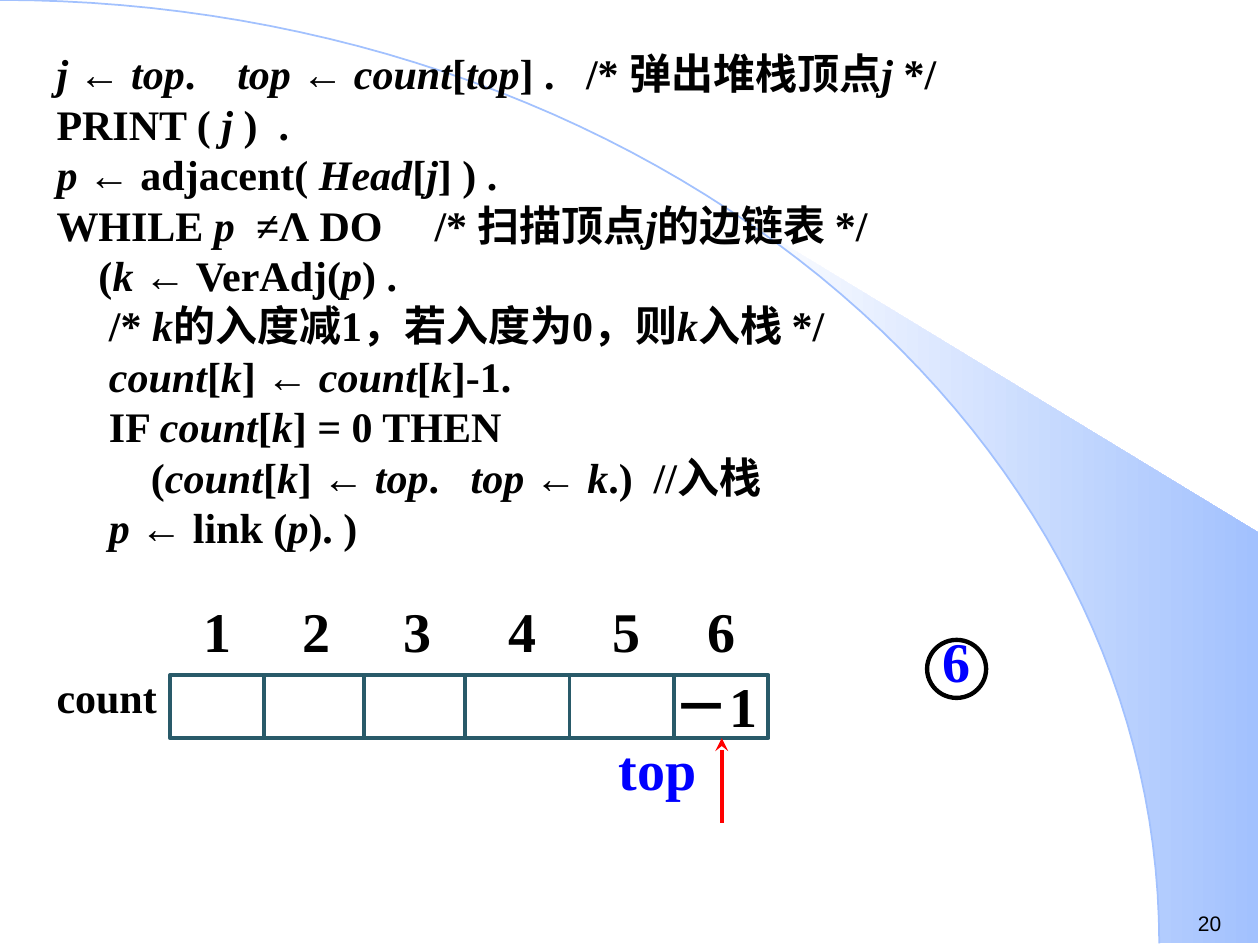
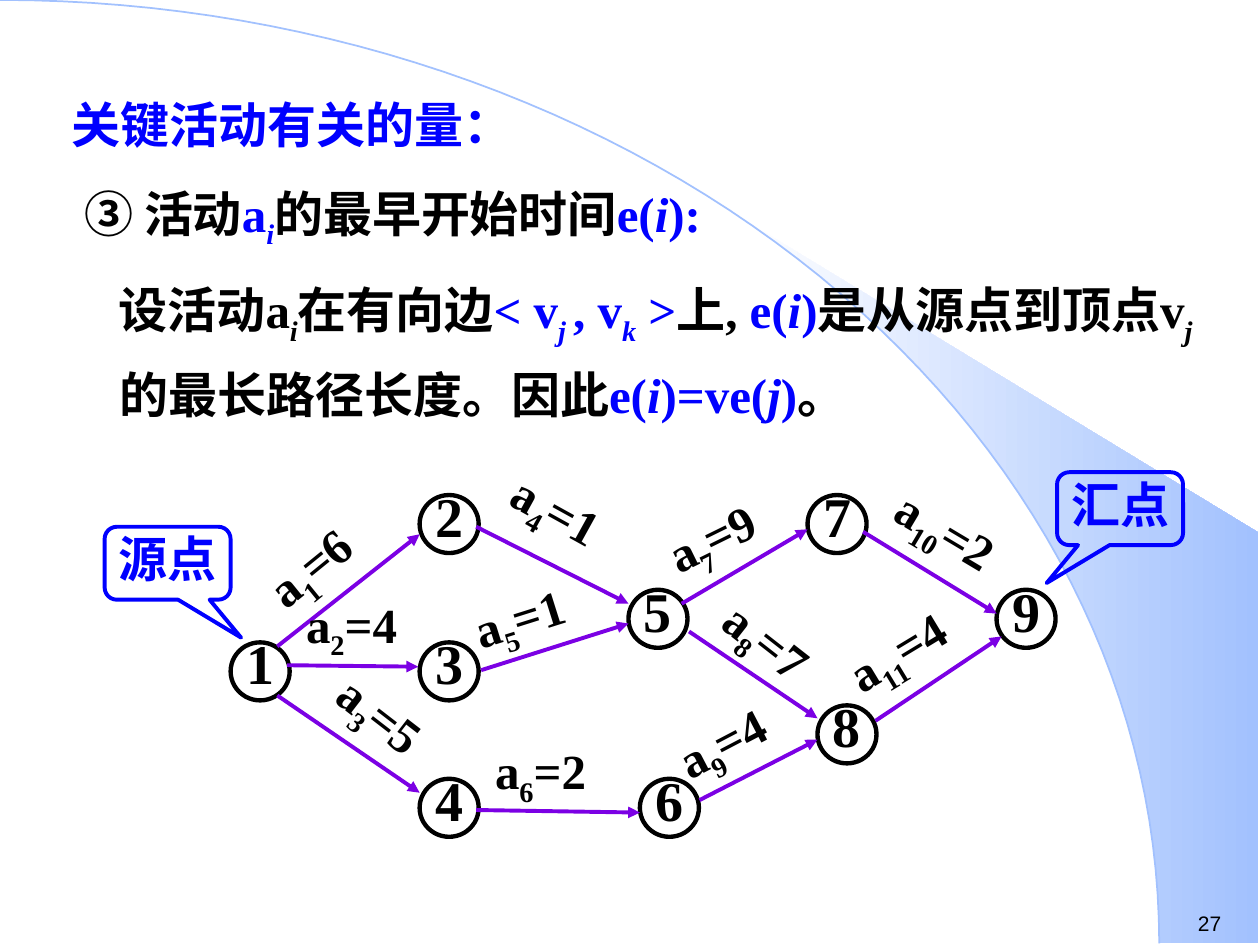
from itertools import groupby
from math import asin, cos, pi, sin

from pptx import Presentation
from pptx.dml.color import RGBColor
from pptx.enum.lang import MSO_LANGUAGE_ID as Language
from pptx.enum.shapes import MSO_CONNECTOR as Connector, MSO_SHAPE as Shape
from pptx.enum.text import MSO_ANCHOR as Anchor, MSO_AUTO_SIZE as AutoSize, PP_ALIGN as Align
from pptx.oxml.ns import qn
from pptx.util import Cm, Pt

BLACK, BLUE, RED = "000000", "0000FF", "FF0000"
TEAL, VIOLET, SKY, WHITE = "295A69", "7B00E4", "A2C1FE", "FFFFFF"
SERIF, SANS = "Times New Roman", "Arial"

ARC_WIDTH, ARC_HEIGHT = 23.37, 19.02
BAND_START = asin(0.64)
BAND_CORNERS = [(25.37, 19.02), (25.37, 10.74)]

# ~ toggles italic, _ toggles subscript, | toggles blue
CODE = [
    "~j ~← ~top~.    ~top ~← ~count~[~top~] .   /* 弹出堆栈顶点~j ~*/",
    "PRINT ( ~j ~)  .",
    "~p ~← adjacent( ~Head~[~j~] ) .",
    "WHILE~ p  ~≠Λ DO\t/* 扫描顶点~j~的边链表 */",
    "    (~k ~← VerAdj(~p~) .",
    "     /* ~k~的入度减1，若入度为0，则~k~入栈 */",
    "     ~count~[~k~] ← ~count~[~k~]-1.",
    "     IF ~count~[~k~] = 0 THEN",
    "         (~count~[~k~] ← ~top~.   ~top ~← ~k~.)  //入栈",
    "     ~p ~← link (~p~). )",
]
CELL_EDGES = [3.43, 5.33, 7.34, 9.37, 11.48, 13.59, 15.49]
ARRAY_TOP, ARRAY_BOTTOM = 13.61, 14.88

BODY = [
    ("|关键活动有关的量：|", 0, 0),
    ("③ 活动|a~_i_~|的最早开始时间|e(~i~):|", 0.25, 0),
    ("设活动a~_i_~在有向边|< v~_j _~, v~_k_~ >|上, |e(~i~)|是从源点到顶点v~_j_~"
     "的最长路径长度。因此|e(~i~)=ve(~j~)|。", 0.97, -0.02),
]
NODES = {
    "1": (4.65, 12.95), "2": (8.46, 9.98), "3": (8.46, 12.95),
    "4": (8.46, 15.7), "5": (12.67, 11.89), "6": (12.9, 15.7),
    "7": (16.28, 9.98), "8": (16.48, 14.22), "9": (20.09, 11.89),
}
ACTIVITIES = [
    ("a_1_=6", (5.59, 13.03), (8.46, 10.77), (4.93, 10.29), -39.1),
    ("a_2_=4", (5.79, 13.41), (8.43, 13.44), (5.92, 11.86), 0),
    ("a_3_=5", (5.59, 14.02), (8.46, 15.98), (6.38, 14.07), 37.7),
    ("a_4_=1", (9.6, 10.62), (12.67, 12.17), (9.98, 9.86), 28.9),
    ("a_5_=1", (9.7, 13.51), (12.67, 12.57), (9.27, 11.53), -17.6),
    ("a_6_=2", (9.6, 16.33), (12.9, 16.38), (9.73, 14.81), 0),
    ("a_7_=9", (13.74, 12.17), (16.28, 10.67), (13.11, 9.83), -26.2),
    ("a_8_=7", (13.89, 12.73), (16.48, 14.48), (14.17, 12.57), 38),
    ("a_9_=4", (14.1, 16.13), (16.48, 14.91), (13.31, 13.94), -27.6),
    ("a_10_=2", (17.4, 10.72), (20.09, 12.37), (17.7, 10.21), 30.9),
    ("a_11_=4", (17.65, 14.53), (20.19, 12.83), (16.71, 12.14), -31.2),
]
CALLOUTS = [("源点", 2.11, 10.62, 0.583), ("汇点", 21.31, 9.52, -0.583)]


def rgb(color):
    return RGBColor.from_string(color)


def write(para, text, size=24, color=BLACK, font=SERIF, bold=True, align=None):
    para.alignment = align
    active = {"~": False, "_": False, "|": False}
    for mark, chars in groupby(text, lambda char: char if char in active else ""):
        if mark:
            active[mark] = not active[mark]
            continue
        span = para.add_run()
        span.text = "".join(chars)
        span.font.name, span.font.size = font, Pt(size)
        span.font.bold, span.font.italic = bold, active["~"]
        span.font.color.rgb = rgb(BLUE if active["|"] else color)
        span.font.language_id = Language.SIMPLIFIED_CHINESE
        if active["_"]:
            span.font._element.set("baseline", "-25000")


def add_text(page, lines, left, top, width, height, rotation=0, **style):
    box = page.shapes.add_textbox(Cm(left), Cm(top), Cm(width), Cm(height))
    box.rotation = rotation
    frame = box.text_frame
    frame.word_wrap = True
    for index, line in enumerate(lines):
        write(frame.add_paragraph() if index else frame.paragraphs[0], line, **style)


def add_outline(page, kind, left, top, width, height, color, weight):
    shape = page.shapes.add_shape(kind, Cm(left), Cm(top), Cm(width), Cm(height))
    shape.shadow.inherit = False
    shape.fill.background()
    shape.line.color.rgb = rgb(color)
    shape.line.width = Pt(weight)
    return shape


def label_shape(shape, text, bottom=0, **style):
    frame = shape.text_frame
    frame.margin_left = frame.margin_right = frame.margin_top = 0
    frame.margin_bottom = Cm(bottom)
    frame.word_wrap = False
    frame.vertical_anchor = Anchor.MIDDLE
    write(frame.paragraphs[0], text, align=Align.CENTER, **style)


def add_node(page, number, left, top, color=BLACK):
    circle = add_outline(page, Shape.OVAL, left, top, 1.19, 1.17, BLACK, 2.5)
    label_shape(circle, number, bottom=0.36, size=32, color=color)


def add_line(page, start, end, color, weight=2.25, head=None):
    line = page.shapes.add_connector(Connector.STRAIGHT, *map(Cm, start + end))
    line.line.color.rgb = rgb(color)
    line.line.width = Pt(weight)
    if head:
        outline = line.line._get_or_add_ln()
        outline.append(outline.makeelement(qn("a:tailEnd"), {"type": head}))
    properties = line._element.spPr
    properties.append(properties.makeelement(qn("a:effectLst"), {}))


def arc_points(start, steps=60):
    angles = [start + (pi / 2 - start) * step / steps for step in range(steps + 1)]
    return [(ARC_WIDTH * sin(angle), ARC_HEIGHT * (1 - cos(angle))) for angle in angles]


def add_freeform(page, points, close):
    first, *rest = [(Cm(x), Cm(y)) for x, y in points]
    builder = page.shapes.build_freeform(*first)
    builder.add_line_segments(rest, close=close)
    shape = builder.convert_to_shape()
    shape.shadow.inherit = False
    return shape


def add_backdrop(page, number):
    band = add_freeform(page, arc_points(BAND_START) + BAND_CORNERS, True)
    band.line.fill.background()
    band.fill.gradient()
    band.fill.gradient_angle = 0
    for stop, color in zip(band.fill.gradient_stops, (WHITE, SKY)):
        stop.color.rgb = rgb(color)
    arc = add_freeform(page, arc_points(0), False)
    arc.fill.background()
    arc.line.color.rgb = rgb(SKY)
    arc.line.width = Pt(1)
    add_text(page, [number], 23.9, 18.24, 1.5, 0.76, size=12, font=SANS, bold=False)


def build_stack_page(deck):
    page = deck.slides.add_slide(deck.slide_layouts[6])
    add_backdrop(page, "20")
    left, right = CELL_EDGES[0], CELL_EDGES[-1]
    add_outline(page, Shape.RECTANGLE, left, ARRAY_TOP, right - left,
                ARRAY_BOTTOM - ARRAY_TOP, TEAL, 2.5)
    for edge in CELL_EDGES[1:-1]:
        add_line(page, (edge, ARRAY_TOP), (edge, ARRAY_BOTTOM), TEAL)
    for index, edge in enumerate(CELL_EDGES[1:], 1):
        add_text(page, [str(index)], edge - 1.9, 11.91, 1.9, 1.6, size=32, align=Align.CENTER)
    add_text(page, ["－1"], 13.06, 13.41, 2.74, 1.6, size=32, align=Align.CENTER)
    add_text(page, ["count"], 0.89, 13.41, 3.18, 1.27)
    add_text(page, ["top"], 12.22, 14.68, 2.54, 1.6, size=32, color=BLUE)
    add_line(page, (14.55, 16.59), (14.55, ARRAY_BOTTOM), RED, 2.5, "stealth")
    add_node(page, "6", 18.69, 12.9, BLUE)
    add_text(page, CODE, 0.89, 0.84, 18.8, 10.39)


def fill_body(page):
    body = page.placeholders[1]
    body.left, body.top, body.width, body.height = Cm(1.19), Cm(1.42), Cm(23.22), Cm(7.11)
    page.shapes._spTree.append(body._element)
    frame = body.text_frame
    frame.auto_size = AutoSize.NONE
    for index, (text, margin, indent) in enumerate(BODY):
        para = frame.add_paragraph() if index else frame.paragraphs[0]
        properties = para._p.get_or_add_pPr()
        properties.set("marL", str(Cm(margin)))
        properties.set("indent", str(Cm(indent)))
        properties.append(properties.makeelement(qn("a:buNone"), {}))
        para.line_spacing = 1.3
        para.space_before = Pt(5.6 if index else 0)
        write(para, text, size=28)


def build_activity_page(deck):
    page = deck.slides.add_slide(deck.slide_layouts[1])
    title = page.shapes.title._element
    title.getparent().remove(title)
    add_backdrop(page, "27")
    fill_body(page)
    for number, place in NODES.items():
        add_node(page, number, *place)
    for label, start, end, place, rotation in ACTIVITIES:
        add_line(page, start, end, VIOLET, head="triangle")
        add_text(page, [label], *place, 3.61, 1.45, rotation, size=28)
    for text, left, top, pointer in CALLOUTS:
        callout = add_outline(page, Shape.ROUNDED_RECTANGULAR_CALLOUT, left, top,
                              2.54, 1.47, BLUE, 2.25)
        callout.adjustments[0] = pointer
        callout.adjustments[1] = 1.02
        label_shape(callout, text, bottom=0.2, size=28, color=BLUE)


def main():
    deck = Presentation()
    deck.slide_width, deck.slide_height = Cm(25.4), Cm(19.05)
    build_stack_page(deck)
    build_activity_page(deck)
    deck.save("out.pptx")


if __name__ == "__main__":
    main()
